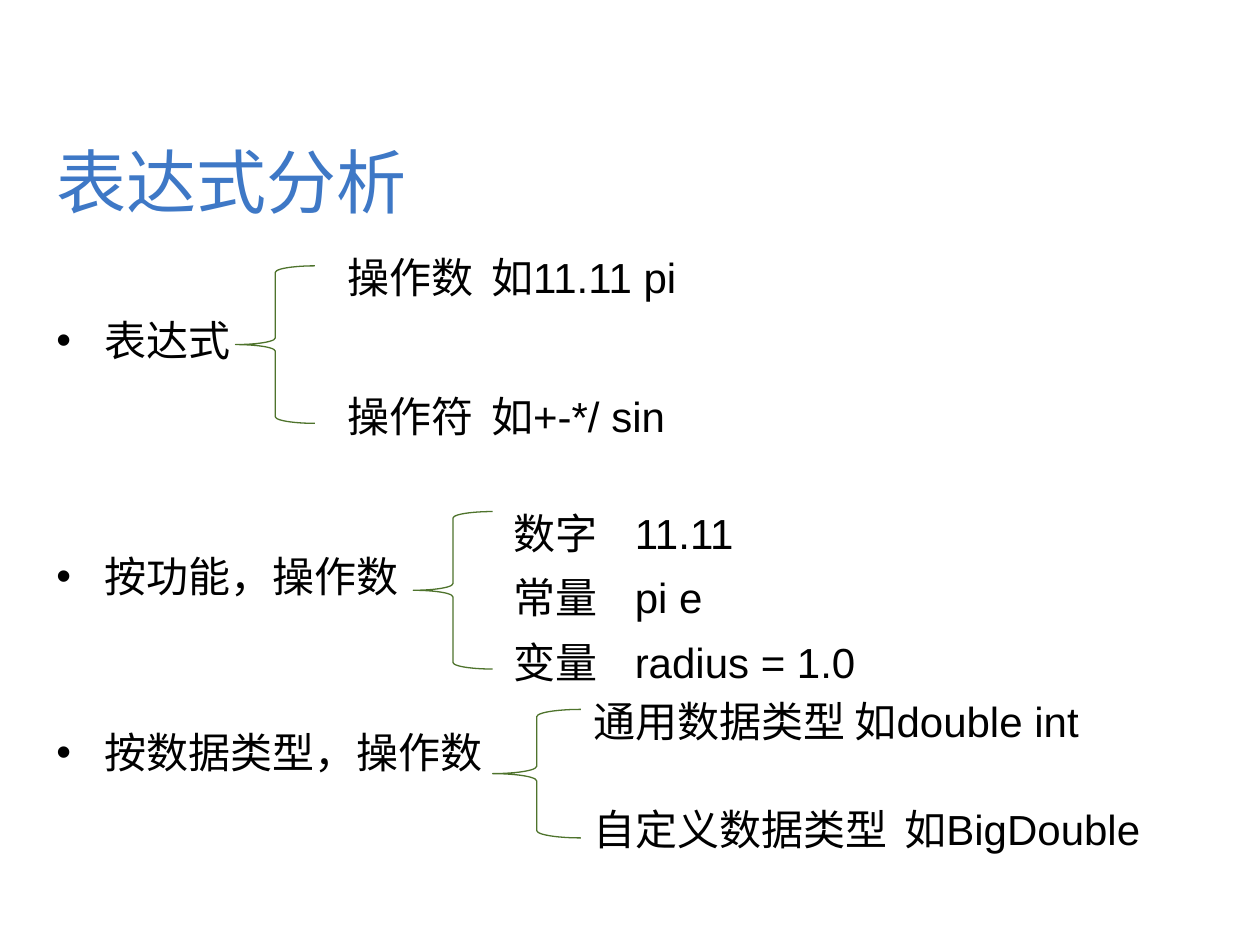
from dataclasses import dataclass

from lxml import etree
from pptx import Presentation
from pptx.dml.color import RGBColor
from pptx.enum.shapes import MSO_SHAPE
from pptx.enum.text import MSO_ANCHOR, PP_ALIGN
from pptx.oxml.ns import qn
from pptx.util import Inches, Pt

LEFT_BRACE = MSO_SHAPE.LEFT_BRACE
MIDDLE = MSO_ANCHOR.MIDDLE
LEFT = PP_ALIGN.LEFT


@dataclass(frozen=True)
class Theme:
    font: str = "Arial"
    title_size: Pt = Pt(40)
    body_size: Pt = Pt(24)
    title_color: RGBColor = RGBColor(0x3E, 0x78, 0xC6)
    text_color: RGBColor = RGBColor(0, 0, 0)
    brace_color: RGBColor = RGBColor(0x4E, 0x73, 0x2C)
    brace_width: Pt = Pt(0.75)


THEME = Theme()


def style_text(paragraph, size, color):
    paragraph.alignment = LEFT
    for run in paragraph.runs:
        run.font.name = THEME.font
        run.font.size = size
        run.font.color.rgb = color


def add_line(left, top, width, text):
    """Add a one-line text box and return its paragraph."""
    box = slide.shapes.add_textbox(
        Inches(left), Inches(top), Inches(width), Inches(0.5))
    box.text_frame.word_wrap = True
    paragraph = box.text_frame.paragraphs[0]
    paragraph.text = text
    style_text(paragraph, THEME.body_size, THEME.text_color)
    return paragraph


prs = Presentation()
prs.slide_width, prs.slide_height = Inches(10), Inches(7.5)
slide = prs.slides.add_slide(prs.slide_layouts[5])

title = slide.shapes.title
title.left, title.top = Inches(0.35), Inches(0.94)
title.width, title.height = Inches(9.29), Inches(0.98)
title.text_frame.text = "表达式分析"
title.text_frame.vertical_anchor = MIDDLE
style_text(title.text_frame.paragraphs[0], THEME.title_size, THEME.title_color)

# topic, topic top, brace box, left and width of members, tab stop, members (top, text)
branches = [
    ("表达式", 2.45, (1.87, 2.11, 0.63, 1.25), 2.66, 3.9, 1.14,
     [(1.95, "操作数\t如11.11 pi"), (3.05, "操作符\t如+-*/ sin")]),
    ("按功能，操作数", 4.32, (3.28, 4.06, 0.63, 1.25), 3.98, 3.67, 0.96,
     [(3.98, "数字\t11.11"), (4.49, "常量\tpi e"), (5.0, "变量\tradius = 1.0")]),
    ("按数据类型，操作数", 5.72, (3.91, 5.63, 0.7, 1.02), 4.61, 4.77, 2.47,
     [(5.47, "通用数据类型 如double int"), (6.33, "自定义数据类型\t如BigDouble")]),
]

for topic, topic_top, brace_box, left, width, tab_stop, members in branches:
    bullet_props = add_line(0.35, topic_top, 4.0, topic)._p.get_or_add_pPr()
    bullet_props.set("marL", str(Inches(0.38)))
    bullet_props.set("indent", str(-Inches(0.38)))
    etree.SubElement(bullet_props, qn("a:buFont"), typeface=THEME.font)
    etree.SubElement(bullet_props, qn("a:buChar"), char="•")

    brace = slide.shapes.add_shape(LEFT_BRACE, *map(Inches, brace_box))
    brace.shadow.inherit = False
    brace.fill.background()
    brace.line.color.rgb = THEME.brace_color
    brace.line.width = THEME.brace_width

    for top, member in members:
        member_props = add_line(left, top, width, member)._p.get_or_add_pPr()
        if "\t" in member:
            tabs = etree.SubElement(member_props, qn("a:tabLst"))
            etree.SubElement(tabs, qn("a:tab"), pos=str(Inches(tab_stop)), algn="l")

prs.save("out.pptx")
